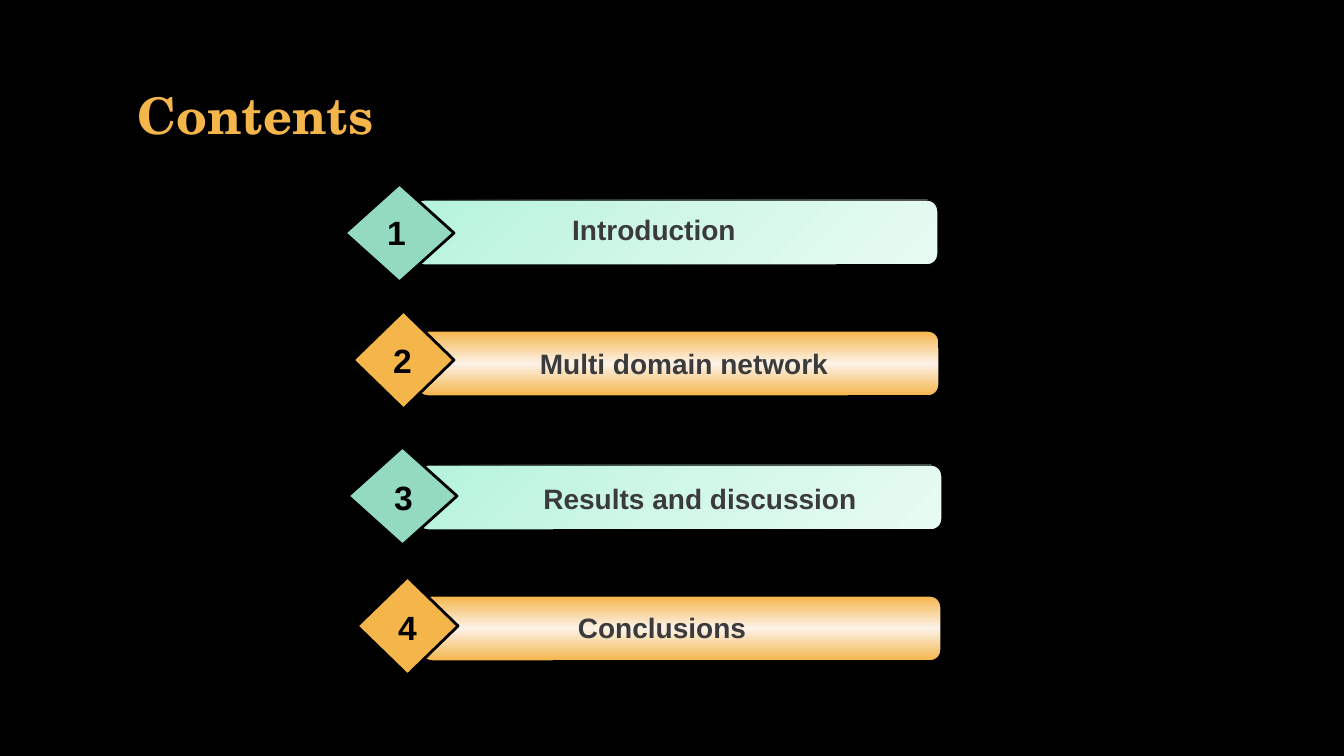
from copy import deepcopy

from pptx import Presentation
from pptx.dml.color import RGBColor
from pptx.enum.shapes import MSO_SHAPE
from pptx.enum.text import MSO_ANCHOR, PP_ALIGN
from pptx.oxml.ns import qn
from pptx.util import Pt

ROUNDED, DIAMOND = MSO_SHAPE.ROUNDED_RECTANGLE, MSO_SHAPE.DIAMOND
MIDDLE = MSO_ANCHOR.MIDDLE
LEFT, CENTER = PP_ALIGN.LEFT, PP_ALIGN.CENTER

SCALE = 914400 / 100.8  # EMU per pixel
COLORS = {
    "black": "000000", "label": "3B3B3B", "gold": "F4B54B", "cream": "FDF2E8",
    "green": "93DAC1", "mint": "B5F3DC", "pale_mint": "D1F7E8", "white_mint": "E8FBF3",
}
# Diamond colour, bar gradient and gradient angle (counterclockwise)
GREEN_STYLE = ("green", ("mint", "pale_mint", "white_mint"), 315)
GOLD_STYLE = ("gold", ("gold", "cream", "gold"), 270)


def px(*lengths):
    return [round(length * SCALE) for length in lengths]


def write(shape, text, size, color, font="Arial", align=CENTER, wrap=True):
    frame = shape.text_frame
    frame.word_wrap = wrap
    frame.vertical_anchor = MIDDLE
    paragraph = frame.paragraphs[0]
    paragraph.alignment = align
    run = paragraph.add_run()
    run.text = text
    run.font.name = font
    run.font.size = Pt(size)
    run.font.bold = True
    run.font.color.rgb = RGBColor.from_string(COLORS[color])


presentation = Presentation()
presentation.slide_width, presentation.slide_height = px(1344, 756)
slide = presentation.slides.add_slide(presentation.slide_layouts[5])
slide.background.fill.solid()
slide.background.fill.fore_color.rgb = RGBColor.from_string(COLORS["black"])

# Title
title = slide.shapes.title
title.left, title.top, title.width, title.height = px(127, 48, 280, 133)
write(title, "Contents", 36, "gold", font="TeX Gyre Schola", align=LEFT)

# Entries: text, style, bar (left, top, width), diamond (left, top, width),
# label (centre, top), number (left, top)
entries = [
    ("Introduction", GREEN_STYLE, (413, 200, 525), (345, 184, 109), (654, 207), (377, 207)),
    ("Multi domain network", GOLD_STYLE, (417, 331, 522), (353, 311, 101), (684, 341), (383, 335)),
    ("Results and discussion", GREEN_STYLE, (417, 465, 525), (348, 447, 109), (700, 476), (384, 472)),
    ("Conclusions", GOLD_STYLE, (421, 596, 520), (357, 577, 101), (662, 605), (388, 602)),
]
LABEL_WIDTH = 400

for number, (text, style, bar_box, diamond_box, label_at, number_at) in enumerate(entries, 1):
    diamond_color, gradient, angle = style

    # Gradient bar
    bar = slide.shapes.add_shape(ROUNDED, *px(*bar_box, 65))
    bar.fill.gradient()
    bar.fill.gradient_angle = angle
    stop_list = bar._element.spPr.find(".//" + qn("a:gsLst"))
    stop_list.append(deepcopy(stop_list[-1]))
    for stop, position, color in zip(bar.fill.gradient_stops, (0, 0.5, 1), gradient):
        stop.position = position
        stop.color.rgb = RGBColor.from_string(COLORS[color])

    # Diamond marker
    diamond = slide.shapes.add_shape(DIAMOND, *px(*diamond_box, 98))
    diamond.fill.solid()
    diamond.fill.fore_color.rgb = RGBColor.from_string(COLORS[diamond_color])

    for shape, line_width in ((bar, 1), (diamond, 2)):
        shape.shadow.inherit = False
        shape.line.color.rgb = RGBColor.from_string(COLORS["black"])
        shape.line.width = Pt(line_width)

    # Label and number
    center, top = label_at
    label = slide.shapes.add_textbox(*px(center - LABEL_WIDTH / 2, top, LABEL_WIDTH, 44))
    write(label, text, 20, "label")
    number_box = slide.shapes.add_textbox(*px(*number_at, 39, 50))
    write(number_box, str(number), 24, "black", wrap=False)

presentation.save("out.pptx")
